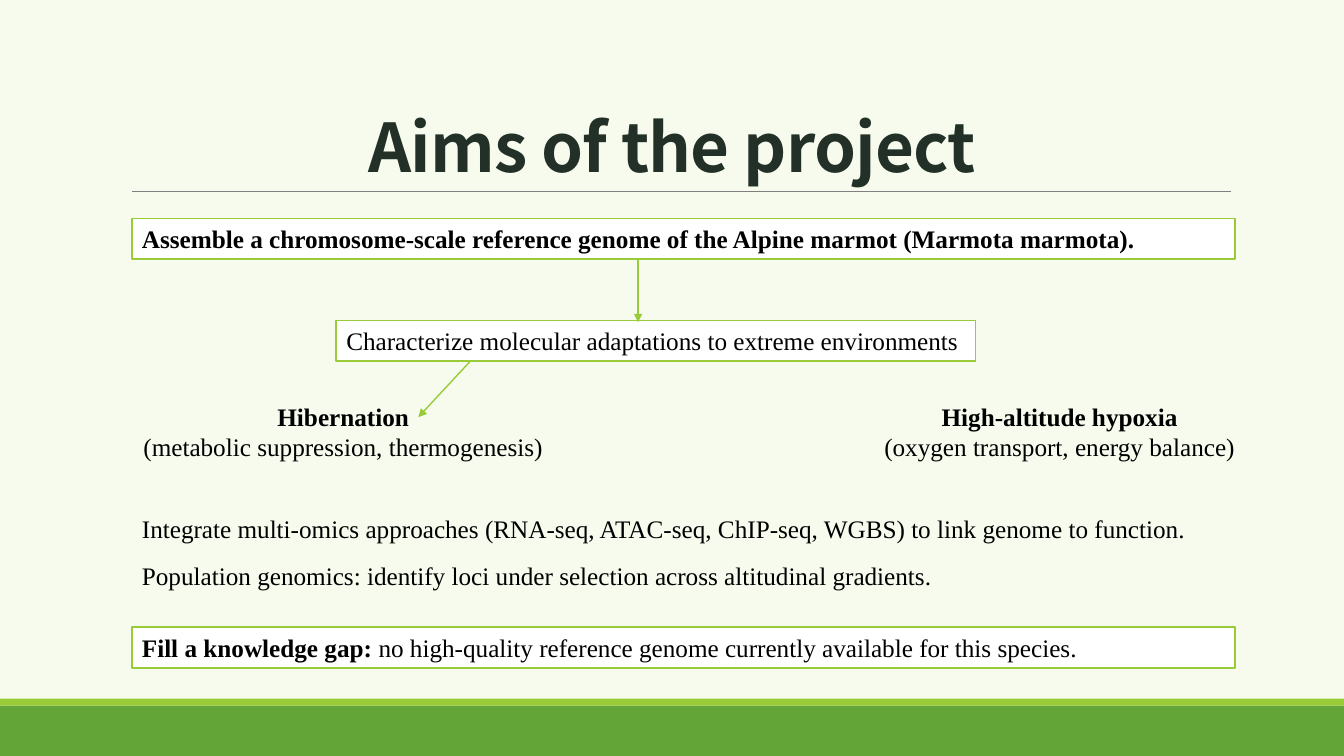
from lxml.etree import SubElement
from pptx import Presentation
from pptx.dml.color import RGBColor
from pptx.enum.shapes import MSO_CONNECTOR as Connector, MSO_SHAPE as Shape
from pptx.enum.text import MSO_ANCHOR as Anchor, MSO_AUTO_SIZE as AutoSize, PP_ALIGN as Align
from pptx.oxml.ns import qn
from pptx.util import Pt

PAGE = RGBColor(0xF6, 0xFB, 0xED)
GREEN = RGBColor(0x63, 0xA5, 0x37)
LIME = RGBColor(0x99, 0xCB, 0x38)
GRAY = RGBColor(0x80, 0x80, 0x80)
INK = RGBColor(0x22, 0x30, 0x28)
BLACK = RGBColor(0, 0, 0)
WHITE = RGBColor(0xFF, 0xFF, 0xFF)

SLIDE_WIDTH, SLIDE_HEIGHT = 960, 540
LEFT, CONTENT_WIDTH = 94.3, 787.7
BOX_HEIGHT = 29


def write(frame, paragraphs, font="Times New Roman", size=18, color=BLACK,
          align=Align.LEFT, anchor=Anchor.TOP, line_spacing=1.0, gap=0, tracking=None):
    """Fill a text frame; each paragraph is a list of (text, bold) runs."""
    frame.word_wrap = True
    frame.auto_size = AutoSize.NONE
    frame.vertical_anchor = anchor
    for index, runs in enumerate(paragraphs):
        paragraph = frame.add_paragraph() if index else frame.paragraphs[0]
        paragraph.alignment = align
        paragraph.line_spacing = line_spacing
        paragraph.space_before = Pt(gap if index else 0)
        for text, bold in runs:
            run = paragraph.add_run()
            run.text = text
            run.font.name = font
            run.font.size = Pt(size)
            run.font.bold = bold
            run.font.color.rgb = color
            if tracking is not None:
                run.font._element.set("spc", str(round(tracking * 100)))


class AimsSlide:
    def __init__(self, presentation):
        self.slide = presentation.slides.add_slide(presentation.slide_layouts[5])
        self.shapes = self.slide.shapes
        background = self.slide.background.fill
        background.solid()
        background.fore_color.rgb = PAGE

    def title(self, text, left, top, width, height):
        heading = self.shapes.title
        heading.left, heading.top = Pt(left), Pt(top)
        heading.width, heading.height = Pt(width), Pt(height)
        write(heading.text_frame, [[(text, True)]], font="Noto Sans CJK KR", size=48,
              color=INK, align=Align.CENTER, anchor=Anchor.BOTTOM,
              line_spacing=0.85, tracking=-0.5)

    def rectangle(self, left, top, width, height, fill, outline=None):
        rectangle = self.shapes.add_shape(Shape.RECTANGLE, Pt(left), Pt(top), Pt(width), Pt(height))
        rectangle.shadow.inherit = False
        rectangle.fill.solid()
        rectangle.fill.fore_color.rgb = fill
        if outline is None:
            rectangle.line.fill.background()
        else:
            rectangle.line.color.rgb = outline
            rectangle.line.width = Pt(1.25)
        return rectangle

    def aim(self, runs, left, top, width):
        box = self.rectangle(left, top, width, BOX_HEIGHT, WHITE, LIME)
        write(box.text_frame, [runs])

    def text(self, paragraphs, left, top, width, height, **style):
        box = self.shapes.add_textbox(Pt(left), Pt(top), Pt(width), Pt(height))
        write(box.text_frame, paragraphs, **style)

    def line(self, start, end, color, width, arrow=False):
        connector = self.shapes.add_connector(
            Connector.STRAIGHT, *(Pt(value) for value in (*start, *end)))
        connector.line.color.rgb = color
        connector.line.width = Pt(width)
        properties = connector.element.spPr
        if arrow:
            SubElement(properties.find(qn("a:ln")), qn("a:tailEnd"), type="triangle")
        SubElement(properties, qn("a:effectLst"))


def main():
    presentation = Presentation()
    presentation.slide_width, presentation.slide_height = Pt(SLIDE_WIDTH), Pt(SLIDE_HEIGHT)
    aims = AimsSlide(presentation)

    aims.rectangle(0, 504, SLIDE_WIDTH, 36, GREEN)
    aims.rectangle(0, 499, SLIDE_WIDTH, 5, LIME)
    aims.line((LEFT, 136.8), (879, 136.8), GRAY, 0.5)
    aims.title("Aims of the project", 0, 22.3, SLIDE_WIDTH, 114.5)

    aims.aim([("Assemble a chromosome-scale reference genome of the Alpine marmot "
               "(Marmota marmota).", True)], LEFT, 156, CONTENT_WIDTH)
    aims.aim([("Characterize molecular adaptations to extreme environments", False)],
             240.3, 229, 456.5)
    aims.aim([("Fill a knowledge gap: ", True),
              ("no high-quality reference genome currently available for this species.", False)],
             LEFT, 448, CONTENT_WIDTH)

    adaptations = [
        ("Hibernation", "(metabolic suppression, thermogenesis)", LEFT, 301.7),
        ("High-altitude hypoxia", "(oxygen transport, energy balance)", 600.3, 313.2),
    ]
    for name, mechanisms, left, width in adaptations:
        aims.text([[(name, True)], [(mechanisms, False)]], left, 283, width, 51,
                  align=Align.CENTER)

    aims.text([
        [("Integrate multi-omics approaches (RNA-seq, ATAC-seq, ChIP-seq, WGBS) "
          "to link genome to function.", False)],
        [("Population genomics: identify loci under selection across altitudinal gradients.",
          False)],
    ], LEFT, 365.8, CONTENT_WIDTH, 67, line_spacing=0.9, gap=14)

    aims.line((455.8, 185), (455.8, 230.2), LIME, 1.25, arrow=True)
    aims.line((335.5, 258.5), (298.8, 298), LIME, 1, arrow=True)

    presentation.save("out.pptx")


if __name__ == "__main__":
    main()
